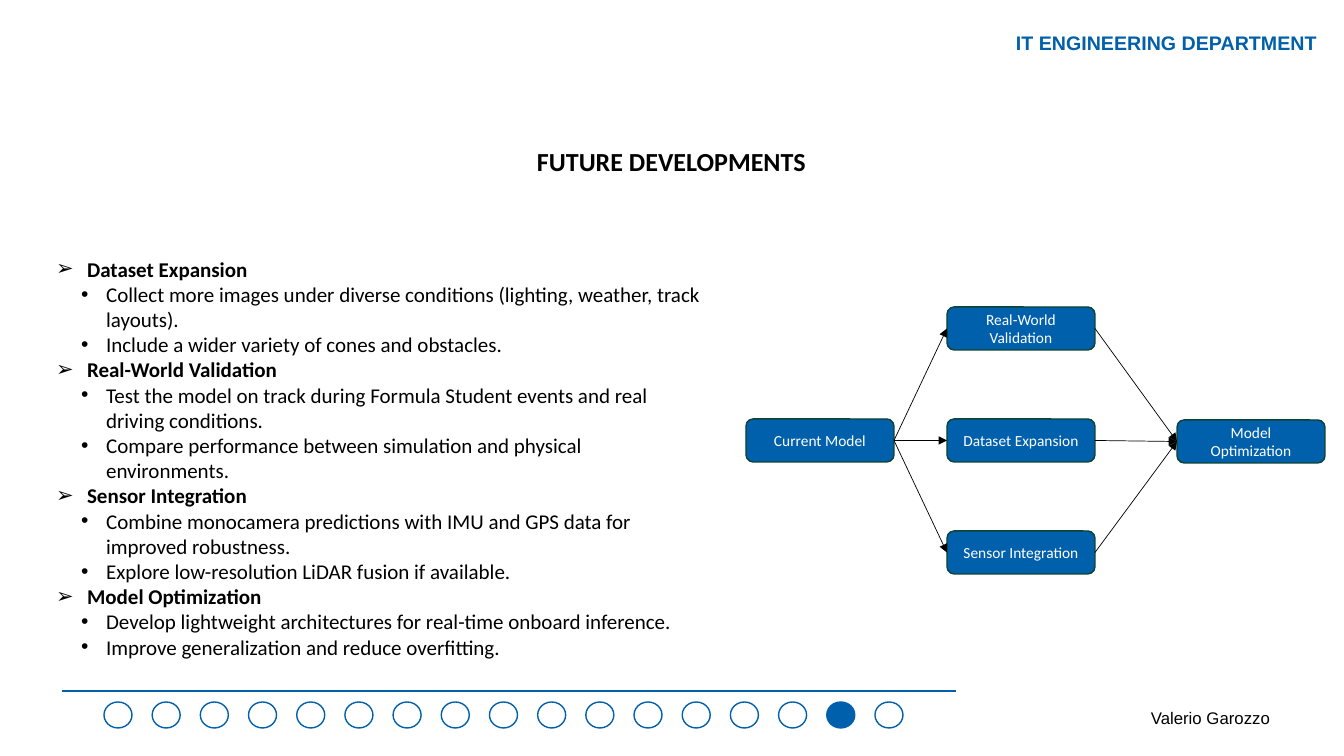
from lxml.etree import SubElement as Sub
from pptx import Presentation
from pptx.dml.color import RGBColor
from pptx.enum.shapes import MSO_CONNECTOR as Conn, MSO_SHAPE as Shape
from pptx.enum.text import MSO_ANCHOR as Anchor, MSO_AUTO_SIZE as Auto, PP_ALIGN as Align
from pptx.oxml.ns import qn
from pptx.util import Pt

# Content
TITLE = "FUTURE DEVELOPMENTS"
HEAD = "IT ENGINEERING DEPARTMENT"
AUTHOR = "Valerio Garozzo"
TOPICS = [
    ("Dataset Expansion", [
        "Collect more images under diverse conditions (lighting, weather, track layouts).",
        "Include a wider variety of cones and obstacles."]),
    ("Real-World Validation", [
        "Test the model on track during Formula Student events and real driving conditions.",
        "Compare performance between simulation and physical environments."]),
    ("Sensor Integration", [
        "Combine monocamera predictions with IMU and GPS data for improved robustness.",
        "Explore low-resolution LiDAR fusion if available."]),
    ("Model Optimization", [
        "Develop lightweight architectures for real-time onboard inference.",
        "Improve generalization and reduce overfitting."]),
]
START, GOAL = "Current Model", "Model Optimization"
STEPS = ["Real-World Validation", "Dataset Expansion", "Sensor Integration"]
DOTS, ACTIVE = 17, 15

COLORS = {"blue": "0060AB", "edge": "0D4335", "black": "000000", "white": "FFFFFF"}
BULLETS = [("➢", 31, -31), ("•", 50, -25)]  # mark, margin, indent
SCALE = 914400 / 100.8


def px(n):
    return round(n * SCALE)


def color(name):
    return RGBColor.from_string(COLORS[name])


def style(para, size, tint, face="Calibri", bold=False):
    for run in para.runs:
        font = run.font
        font.name, font.size, font.bold = face, Pt(size), bold
        font.color.rgb = color(tint)


def place(shape, x, y, w, h):
    shape.left, shape.top, shape.width, shape.height = map(px, (x, y, w, h))
    frame = shape.text_frame
    frame.auto_size, frame.word_wrap = Auto.NONE, True
    frame.vertical_anchor = Anchor.TOP
    return frame


def draw(kind, x, y, w, h, fill, edge):
    shape = slide.shapes.add_shape(kind, *map(px, (x, y, w, h)))
    shape.shadow.inherit = False
    if fill:
        shape.fill.solid()
        shape.fill.fore_color.rgb = color(fill)
    else:
        shape.fill.background()
    shape.line.color.rgb = color(edge)
    shape.line.width = Pt(1)
    return shape


def label(text, x, y, w, h, size, tint, bold=False):
    box = slide.shapes.add_textbox(0, 0, 0, 0)
    frame = place(box, x, y, w, h)
    frame.text = text
    style(frame.paragraphs[0], size, tint, "Arial", bold)


def node(text, x, y):
    box = draw(Shape.ROUNDED_RECTANGLE, x, y, 148, 43, "blue", "edge")
    frame = box.text_frame
    frame.text, frame.vertical_anchor = text, Anchor.MIDDLE
    frame.paragraphs[0].alignment = Align.CENTER
    style(frame.paragraphs[0], 11, "white")
    return box


def line(ends, tint, width):
    link = slide.shapes.add_connector(Conn.STRAIGHT, *map(px, ends))
    link.line.color.rgb = color(tint)
    link.line.width = Pt(width)
    Sub(link._element.spPr, qn("a:effectLst"))
    return link


def arrow(a, b):
    link = line((0, 0, 0, 0), "black", 0.5)
    link.begin_connect(a, 3)
    link.end_connect(b, 1)
    Sub(link.line._get_or_add_ln(), qn("a:tailEnd"), type="triangle")


deck = Presentation()
deck.slide_width, deck.slide_height = px(1344), px(756)
slide = deck.slides.add_slide(deck.slide_layouts[1])
title, body = slide.placeholders

# Header, author and title
label(HEAD, 1006, 26, 338, 34, 14, "blue", True)
label(AUTHOR, 1141, 703, 140, 30, 12, "black")
frame = place(title, 518, 149, 307, 57)
frame.text = TITLE
para = frame.paragraphs[0]
para.alignment, para.line_spacing = Align.CENTER, 0.7
style(para, 18.6, "black", bold=True)

# Topic list
rows = [row for head, points in TOPICS
        for row in [(head, 0)] + [(point, 1) for point in points]]
frame = place(body, 46, 251, 672, 417)
frame.text = "\n".join(text for text, _ in rows)
for para, (_, level) in zip(frame.paragraphs, rows):
    mark, margin, indent = BULLETS[level]
    para.level = level
    para.space_before = Pt(0)
    props = para._p.get_or_add_pPr()
    props.set("marL", str(px(margin)))
    props.set("indent", str(px(indent)))
    Sub(props, qn("a:buFont"), typeface="Arial")
    Sub(props, qn("a:buChar"), char=mark)
    style(para, 15, "black", bold=level == 0)

# Flow diagram
start, goal = node(START, 746, 419), node(GOAL, 1177, 420)
for i, text in enumerate(STEPS):
    step = node(text, 947, 307 + 112 * i)
    arrow(start, step)
    arrow(step, goal)

# Progress bar
line((62, 691, 956, 691), "blue", 1.5)
for i in range(DOTS):
    x = 104 + i * 771 / (DOTS - 1)
    draw(Shape.OVAL, x, 702, 28, 26, "blue" if i == ACTIVE else None, "blue")

deck.save("out.pptx")
